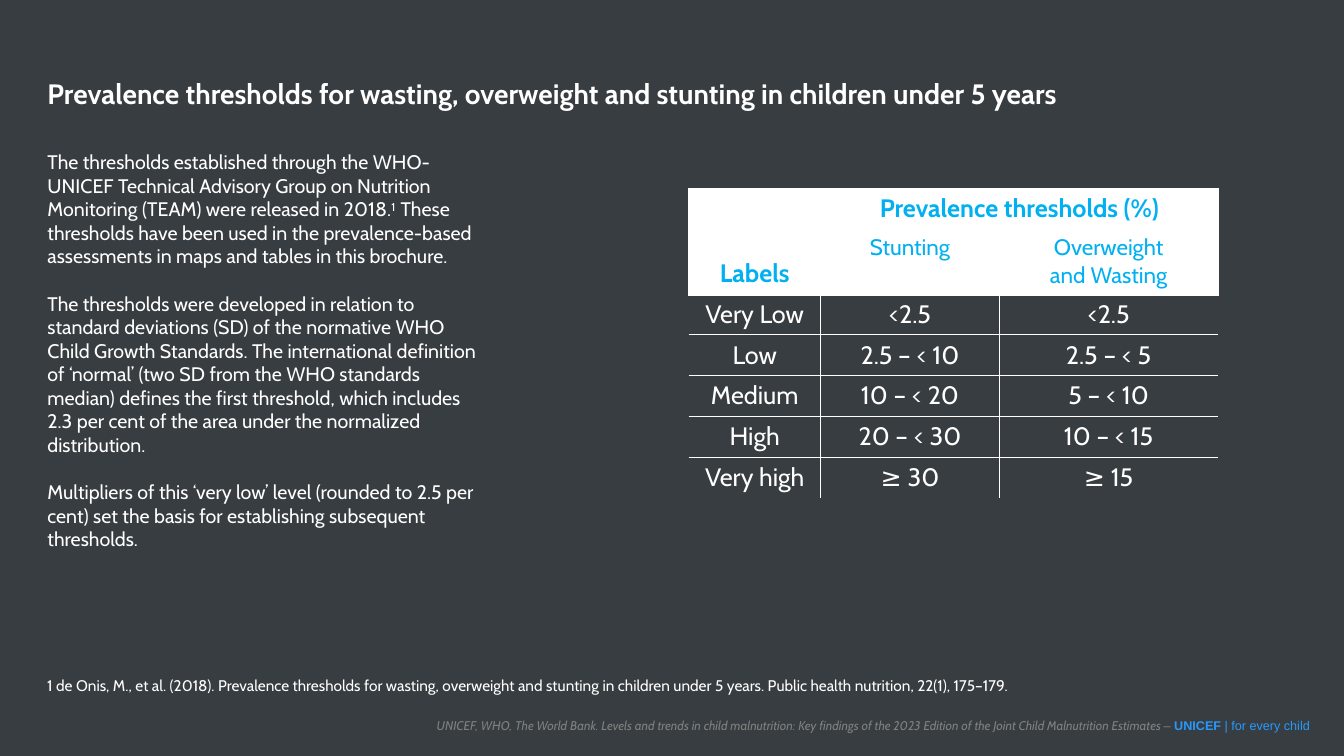
from dataclasses import dataclass

from lxml import etree
from pptx import Presentation
from pptx.dml.color import RGBColor
from pptx.enum.text import MSO_ANCHOR, MSO_AUTO_SIZE, PP_ALIGN
from pptx.oxml.ns import qn
from pptx.util import Inches, Pt

LEFT, CENTER, RIGHT = PP_ALIGN.LEFT, PP_ALIGN.CENTER, PP_ALIGN.RIGHT
TOP, MIDDLE, BOTTOM = MSO_ANCHOR.TOP, MSO_ANCHOR.MIDDLE, MSO_ANCHOR.BOTTOM
NO_FIT = MSO_AUTO_SIZE.NONE

COLORS = {"slate": "373D41", "white": "FFFFFF", "cyan": "00B0F0",
          "gray": "808080", "blue": "2899FC"}
WIDTH, HEIGHT = Inches(13.33), Inches(7.5)
SIDES = {"left": "a:lnL", "right": "a:lnR", "top": "a:lnT", "bottom": "a:lnB"}


@dataclass
class Area:
    """A rectangle in percent of the slide's width and height."""
    left: float
    top: float
    width: float
    height: float


@dataclass
class Span:
    text: str
    color: str = "white"
    font: str = "Cabin"
    bold: bool = False
    italic: bool = False
    raised: bool = False


@dataclass
class HeaderCell:
    row: int
    column: int
    last_row: int
    last_column: int
    lines: list[str]
    size: int
    bold: bool
    anchor: MSO_ANCHOR
    borders: dict[str, int]


TITLE_AREA = Area(2.78, 9.47, 95.05, 5.87)
BODY_AREA = Area(2.78, 19.2, 34.36, 51.6)
NOTE_AREA = Area(2.78, 88.8, 78.77, 6.27)
FOOTER_AREA = Area(18.15, 94.27, 80.05, 3.47)
TABLE_AREA = Area(51.24, 24.93, 39.38, 37.94)
COLUMN_SHARES = [9.83, 13.28, 16.28]
ROW_SHARE = 5.42

TITLE = "Prevalence thresholds for wasting, overweight and stunting in children under 5 years"
BODY = [
    [Span("The thresholds established through the WHO-UNICEF Technical Advisory Group on "
          "Nutrition Monitoring (TEAM) were released in 2018."),
     Span("1  ", raised=True),
     Span("These thresholds have been used in the prevalence-based assessments in maps and "
          "tables in this brochure.")],
    [Span("The thresholds were developed in relation to standard deviations (SD) of the "
          "normative WHO Child Growth Standards. The international definition of ‘normal’ "
          "(two SD from the WHO standards median) defines the first threshold, which includes "
          "2.3 per cent of the area under the normalized distribution.")],
    [Span("Multipliers of this ‘very low’ level (rounded to 2.5 per cent) set the basis for "
          "establishing subsequent thresholds.")],
]
NOTE = ("1 de Onis, M., et al. (2018). Prevalence thresholds for wasting, overweight and "
        "stunting in children under 5 years. Public health nutrition, 22(1), 175–179.")
FOOTER = [
    Span("UNICEF, WHO, The World Bank. Levels and trends in child malnutrition: Key findings "
         "of the 2023 Edition of the Joint Child Malnutrition Estimates", "gray", italic=True),
    Span(" – ", "gray", "Arial"),
    Span("UNICEF", "blue", "Arial", bold=True),
    Span(" | for every child", "blue", "Arial"),
]
HEADER = [
    HeaderCell(0, 0, 1, 0, ["Labels"], 18, True, BOTTOM,
               {"left": 1, "top": 1, "right": 3, "bottom": 3}),
    HeaderCell(0, 1, 0, 2, ["Prevalence thresholds (%)"], 18, True, TOP,
               {"left": 3, "top": 1, "right": 1}),
    HeaderCell(1, 1, 1, 1, ["Stunting"], 16, False, TOP,
               {"left": 3, "right": 1, "bottom": 3}),
    HeaderCell(1, 2, 1, 2, ["Overweight", "and Wasting"], 16, False, TOP,
               {"left": 1, "right": 1, "bottom": 3}),
]
HEADER_ROWS = 2
LEVELS = [
    ("Very Low", "<2.5", "<2.5"),
    ("Low", "2.5 – < 10", "2.5 – < 5"),
    ("Medium", "10 – < 20", "5 – < 10"),
    ("High", "20 – < 30", "10 – < 15"),
    ("Very high", "≥ 30", "≥ 15"),
]


def across(share: float) -> int:
    return round(WIDTH * share / 100)


def down(share: float) -> int:
    return round(HEIGHT * share / 100)


def bounds(area: Area) -> tuple[int, int, int, int]:
    return across(area.left), down(area.top), across(area.width), down(area.height)


def write(frame, paragraphs: list[list[Span]], *, size: float, align=LEFT, gap: float = 0) -> None:
    frame.word_wrap = True
    for index, spans in enumerate(paragraphs):
        para = frame.paragraphs[0] if index == 0 else frame.add_paragraph()
        properties = para._p.get_or_add_pPr()
        properties.set("marL", "0")
        properties.set("indent", "0")
        etree.SubElement(properties, qn("a:buNone"))
        para.alignment = align
        para.space_before = Pt(gap if index else 0)
        for span in spans:
            run = para.add_run()
            run.text = span.text
            run.font.size = Pt(size)
            run.font.name = span.font
            run.font.bold = span.bold
            run.font.italic = span.italic
            run.font.color.rgb = RGBColor.from_string(COLORS[span.color])
            if span.raised:
                run.font._element.set("baseline", "30000")


def place(shape, area: Area, paragraphs: list[list[Span]], *, anchor=TOP, **text_format) -> None:
    shape.left, shape.top, shape.width, shape.height = bounds(area)
    shape.text_frame.auto_size = NO_FIT
    shape.text_frame.vertical_anchor = anchor
    write(shape.text_frame, paragraphs, **text_format)


def set_borders(cell, borders: dict[str, int]) -> None:
    """Draw the given sides in white (points) and hide the others."""
    properties = cell._tc.get_or_add_tcPr()
    for side, tag in SIDES.items():
        line = etree.SubElement(properties, qn(tag))
        if side in borders:
            line.set("w", str(Pt(borders[side])))
            fill = etree.SubElement(line, qn("a:solidFill"))
            etree.SubElement(fill, qn("a:srgbClr")).set("val", COLORS["white"])
        else:
            etree.SubElement(line, qn("a:noFill"))


def level_borders(row: int, column: int) -> dict[str, int]:
    borders = {"top": 3 if row == 0 and column else 1}
    if column:
        borders["left"] = 1
    if column < len(COLUMN_SHARES) - 1:
        borders["right"] = 1
    if row < len(LEVELS) - 1:
        borders["bottom"] = 1
    return borders


def add_threshold_table(page) -> None:
    row_count = HEADER_ROWS + len(LEVELS)
    table = page.shapes.add_table(row_count, len(COLUMN_SHARES), *bounds(TABLE_AREA)).table
    table.first_row = table.horz_banding = False
    for column, share in zip(table.columns, COLUMN_SHARES):
        column.width = across(share)
    for row in table.rows:
        row.height = down(ROW_SHARE)

    for head in HEADER:
        first = table.cell(head.row, head.column)
        last = table.cell(head.last_row, head.last_column)
        for cell in [first] if first == last else [first, last]:
            set_borders(cell, head.borders)
            cell.fill.solid()
            cell.fill.fore_color.rgb = RGBColor.from_string(COLORS["white"])
        if first != last:
            first.merge(last)
        first.vertical_anchor = head.anchor
        write(first.text_frame, [[Span(line, "cyan", bold=head.bold)] for line in head.lines],
              size=head.size, align=CENTER)

    for row, level in enumerate(LEVELS):
        for column, text in enumerate(level):
            cell = table.cell(HEADER_ROWS + row, column)
            set_borders(cell, level_borders(row, column))
            cell.fill.background()
            write(cell.text_frame, [[Span(text)]], size=18, align=CENTER)


def main() -> None:
    deck = Presentation()
    deck.slide_width, deck.slide_height = WIDTH, HEIGHT
    page = deck.slides.add_slide(deck.slide_layouts[1])
    page.background.fill.solid()
    page.background.fill.fore_color.rgb = RGBColor.from_string(COLORS["slate"])

    place(page.shapes.title, TITLE_AREA, [[Span(TITLE, bold=True)]], size=20)
    place(page.placeholders[1], BODY_AREA, BODY, size=14, gap=17)
    note, footer = [page.shapes.add_textbox(*bounds(area)) for area in (NOTE_AREA, FOOTER_AREA)]
    place(note, NOTE_AREA, [[Span(NOTE)]], size=11)
    place(footer, FOOTER_AREA, [FOOTER], size=9, align=RIGHT, anchor=MIDDLE)
    add_threshold_table(page)
    deck.save("out.pptx")


if __name__ == "__main__":
    main()
